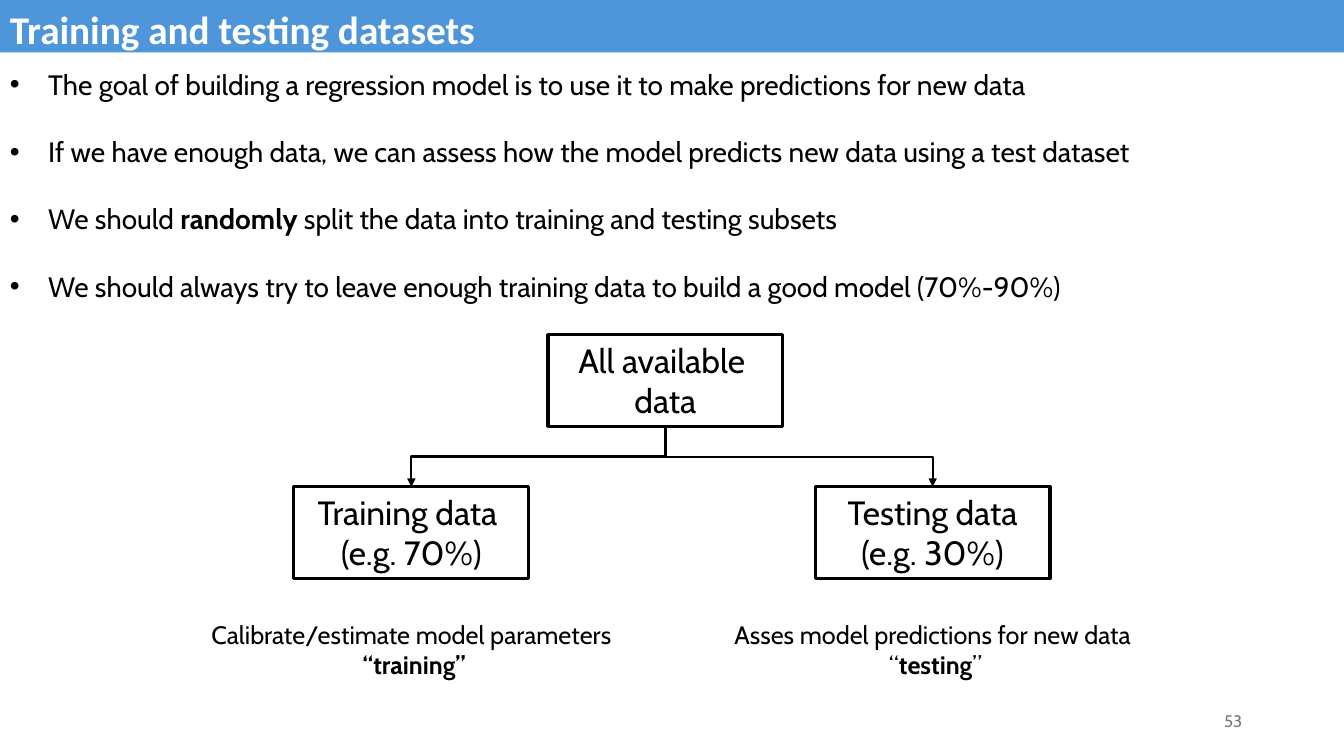
from pptx import Presentation
from pptx.dml.color import RGBColor
from pptx.enum.shapes import MSO_CONNECTOR, MSO_SHAPE
from pptx.enum.text import MSO_ANCHOR, PP_ALIGN
from pptx.oxml.ns import qn
from pptx.util import Inches, Pt
from lxml import etree

RECT, ELBOW = MSO_SHAPE.RECTANGLE, MSO_CONNECTOR.ELBOW
LEFT, CENTER, RIGHT = PP_ALIGN.LEFT, PP_ALIGN.CENTER, PP_ALIGN.RIGHT
TOP, MIDDLE = MSO_ANCHOR.TOP, MSO_ANCHOR.MIDDLE

SLIDE_W, SLIDE_H = 13.33, 7.5
BLUE, BLACK, WHITE, GRAY = "4E95D9", "000000", "FFFFFF", "797979"

TITLE = [["Training and testing datasets"]]
BULLETS = [
    ["The goal of building a regression model is to use it to make predictions for new data"],
    ["If we have enough data, we can assess how the model predicts new data using a test dataset"],
    ["We should ", ("randomly ", True), "split the data into training and testing subsets"],
    ["We should always try to leave enough training data to build a good model (70%-90%)"],
]
ROOT = [["All available "], ["data"]]
BRANCHES = [
    {"center": 4.08, "box": [["Training data "], ["(e.g. 70%)"]],
     "note": [["Calibrate/estimate model parameters"], [(" “training”", True)]], "note_w": 4.54},
    {"center": 9.25, "box": [["Testing data"], ["(e.g. 30%)"]],
     "note": [["Asses model predictions for new data"], [" “", ("testing", True), "”"]], "note_w": 5.07},
]
PAGE = [["53"]]

BAR_H = 0.52
BOX_W, BOX_H = 2.33, 0.91
ROOT_X, ROOT_Y, BRANCH_Y = 6.6, 3.32, 4.83
NOTE_Y, NOTE_H = 6.09, 0.71
INDENT = 0.38

BODY = {"name": "Cabin", "size": Pt(20), "color": BLACK}
HEADING = {"name": "Calibri", "size": Pt(28), "color": WHITE, "bold": True}
BOX = BODY | {"size": Pt(24)}
NOTE = BODY | {"size": Pt(18)}
NUMBER = BODY | {"size": Pt(12), "color": GRAY}


def rgb(color):
    return RGBColor.from_string(color)


def style(font, values):
    for key, value in values.items():
        if key == "color":
            font.color.rgb = rgb(value)
        else:
            setattr(font, key, value)


def add_bullet(p):
    pPr = p._p.get_or_add_pPr()
    pPr.set("marL", str(Inches(INDENT)))
    pPr.set("indent", str(-Inches(INDENT)))
    etree.SubElement(pPr, qn("a:buFont")).set("typeface", "Arial")
    etree.SubElement(pPr, qn("a:buChar")).set("char", "•")


def write(sp, lines, font, align=LEFT, anchor=TOP, bullet=False, gap=0):
    tf = sp.text_frame
    tf.word_wrap = True
    tf.vertical_anchor = anchor
    for i, line in enumerate(lines):
        p = tf.paragraphs[0] if i == 0 else tf.add_paragraph()
        p.alignment = align
        if i and gap:
            p.space_before = Pt(gap)
        if bullet:
            add_bullet(p)
        for part in line:
            text, bold = (part, False) if isinstance(part, str) else part
            r = p.add_run()
            r.text = text
            style(r.font, {"bold": bold} | font)


def add_text(s, area, lines, font, **options):
    sp = s.shapes.add_textbox(*map(Inches, area))
    write(sp, lines, font, **options)


def add_rect(s, area, lines, font, fill=None, line=None, **options):
    sp = s.shapes.add_shape(RECT, *map(Inches, area))
    sp.shadow.inherit = False
    if fill:
        sp.fill.solid()
        sp.fill.fore_color.rgb = rgb(fill)
    else:
        sp.fill.background()
    if line:
        sp.line.color.rgb = rgb(line)
        sp.line.width = Pt(2.25)
    else:
        sp.line.fill.background()
    write(sp, lines, font, **options)


def add_tree_arrow(s, x1, y1, x2, y2):
    cx, cy = (x1 + x2) / 2, (y1 + y2) / 2
    half_w, half_h = (y2 - y1) / 2, abs(x2 - x1) / 2
    side, angle = (1, 270) if x2 > x1 else (-1, 90)
    ends = (cx + side * half_w, cy - half_h, cx - side * half_w, cy + half_h)
    c = s.shapes.add_connector(ELBOW, *map(Inches, ends))
    c.line.color.rgb = rgb(BLACK)
    c.line.width = Pt(1.5)
    spPr = c._element.spPr
    spPr.find(qn("a:xfrm")).set("rot", str(angle * 60000))
    etree.SubElement(spPr.find(qn("a:ln")), qn("a:tailEnd")).set("type", "triangle")
    etree.SubElement(spPr, qn("a:effectLst"))


def add_node(s, center, top, lines):
    area = (center - BOX_W / 2, top, BOX_W, BOX_H)
    add_rect(s, area, lines, BOX, line=BLACK, align=CENTER)


def main():
    prs = Presentation()
    prs.slide_width, prs.slide_height = Inches(SLIDE_W), Inches(SLIDE_H)
    s = prs.slides.add_slide(prs.slide_layouts[6])

    add_text(s, (9.42, 6.95, 3, 0.4), PAGE, NUMBER, align=RIGHT, anchor=MIDDLE)
    add_rect(s, (0, 0, SLIDE_W, BAR_H), TITLE, HEADING, fill=BLUE)
    add_text(s, (0, 0.62, SLIDE_W, 2.46), BULLETS, BODY, bullet=True, gap=24)

    add_node(s, ROOT_X, ROOT_Y, ROOT)
    for branch in BRANCHES:
        center, note_w = branch["center"], branch["note_w"]
        add_node(s, center, BRANCH_Y, branch["box"])
        add_tree_arrow(s, ROOT_X, ROOT_Y + BOX_H, center, BRANCH_Y)
        add_text(s, (center - note_w / 2, NOTE_Y, note_w, NOTE_H), branch["note"], NOTE, align=CENTER)

    prs.save("out.pptx")


if __name__ == "__main__":
    main()
